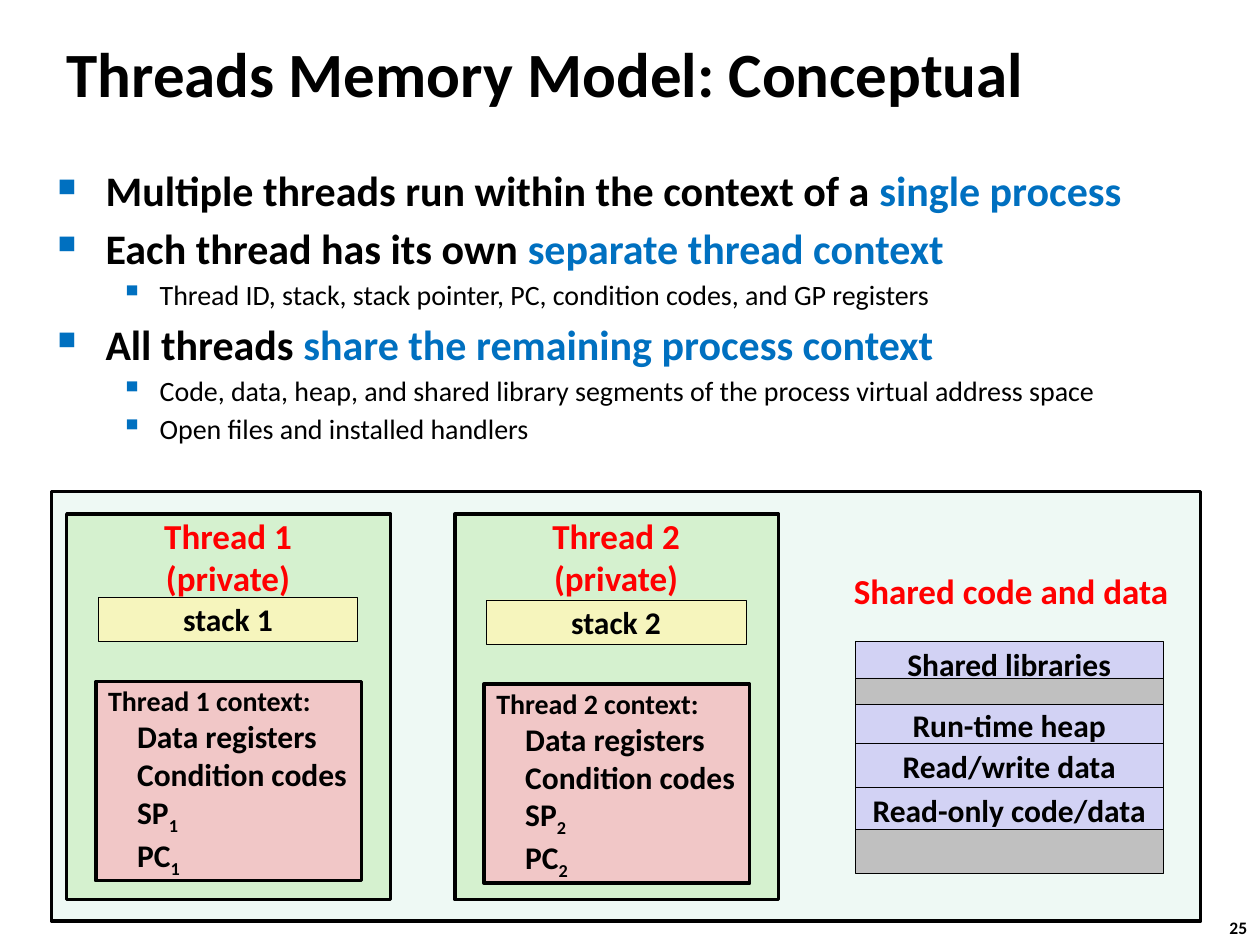
"""Build the slide on the conceptual memory model of threads."""
import dataclasses

import lxml.etree
import pptx
import pptx.dml.color
import pptx.enum.shapes
import pptx.enum.text
import pptx.oxml.ns
import pptx.util

Inches = pptx.util.Inches
Pt = pptx.util.Pt
ALIGN = pptx.enum.text.PP_ALIGN
ANCHOR = pptx.enum.text.MSO_ANCHOR


@dataclasses.dataclass(frozen=True)
class Theme:
    font: str = "Calibri"
    ink: str = "000000"
    accent: str = "0070C0"
    heading: str = "FF0000"
    process: str = "EEF9F4"
    thread: str = "D5F1CF"
    stack: str = "F6F5BD"
    context: str = "F1C7C7"
    shared: str = "D2D2F4"
    gap: str = "C0C0C0"
    title_size: int = 36
    point_size: int = 24
    label_size: int = 20
    box_size: int = 18
    detail_size: int = 16
    number_size: int = 10
    thick: float = 2
    thin: float = 0.25


class SlideBuilder:
    def __init__(self, slide, theme):
        self.slide = slide
        self.theme = theme

    def color(self, name):
        return pptx.dml.color.RGBColor.from_string(getattr(self.theme, name))

    def frame(self, sp, align=ALIGN.LEFT, anchor=ANCHOR.MIDDLE):
        tf = sp.text_frame
        tf.word_wrap = True
        tf.vertical_anchor = anchor
        tf.margin_left = 0 if align == ALIGN.CENTER else Inches(0.1)
        tf.margin_right = 0
        return tf

    def paragraph(self, tf, first, align=ALIGN.LEFT, indent=0):
        p = tf.paragraphs[0] if first else tf.add_paragraph()
        p.alignment = align
        if indent:
            p._p.get_or_add_pPr().set("marL", str(Inches(indent)))
        return p

    def run(self, p, text, size, color="ink", bold=True, subscript=False):
        r = p.add_run()
        r.text = text
        r.font.name = self.theme.font
        r.font.size = Pt(size)
        r.font.bold = bold
        r.font.color.rgb = self.color(color)
        if subscript:
            r._r.get_or_add_rPr().set("baseline", "-25000")

    def bullet(self, p, char, percent, hanging):
        pPr = p._p.get_or_add_pPr()
        pPr.set("indent", str(-Inches(hanging)))
        qn = pptx.oxml.ns.qn
        clr = lxml.etree.SubElement(pPr, qn("a:buClr"))
        lxml.etree.SubElement(clr, qn("a:srgbClr"), val=self.theme.accent)
        lxml.etree.SubElement(pPr, qn("a:buSzPct"), val=str(percent * 1000))
        lxml.etree.SubElement(pPr, qn("a:buChar"), char=char)

    def text(self, box, lines, size, color="ink", align=ALIGN.LEFT):
        sp = self.slide.shapes.add_textbox(*map(Inches, box))
        tf = self.frame(sp, align)
        for i, line in enumerate(lines):
            self.run(self.paragraph(tf, i == 0, align), line, size, color)

    def box(self, box, fill, width, label=""):
        rect = pptx.enum.shapes.MSO_SHAPE.RECTANGLE
        sp = self.slide.shapes.add_shape(rect, *map(Inches, box))
        sp.shadow.inherit = False
        sp.fill.solid()
        sp.fill.fore_color.rgb = self.color(fill)
        sp.line.color.rgb = self.color("ink")
        sp.line.width = Pt(width)
        if label:
            p = self.paragraph(self.frame(sp, ALIGN.CENTER), True, ALIGN.CENTER)
            self.run(p, label, self.theme.box_size)
        return sp

    def points(self, box, items):
        sp = self.slide.shapes.add_textbox(*map(Inches, box))
        tf = self.frame(sp, anchor=ANCHOR.TOP)
        for i, (level, plain, accent) in enumerate(items):
            p = self.paragraph(tf, i == 0, indent=(0.38, 0.81)[level])
            size = (self.theme.point_size, self.theme.detail_size)[level]
            if i:
                p.space_before = Pt(0.17 * size)
            if level:
                self.bullet(p, "▪", 110, 0.31)
            else:
                self.bullet(p, "■", 60, 0.38)
            self.run(p, plain, size, bold=not level)
            if accent:
                self.run(p, accent, size, "accent")

    def context(self, box, number):
        tf = self.frame(self.box(box, "context", self.theme.thick))
        p = self.paragraph(tf, True)
        self.run(p, f"Thread {number} context:", self.theme.detail_size)
        for name in ("Data registers", "Condition codes", "SP", "PC"):
            p = self.paragraph(tf, False, indent=0.23)
            self.run(p, name, self.theme.box_size)
            if name in ("SP", "PC"):
                self.run(p, str(number), self.theme.box_size, subscript=True)

    def thread(self, number, left, drop):
        t = self.theme
        self.box((left, 4.08, 2.57, 3.06), "thread", t.thick)
        self.context((left + 0.23, 5.41 + drop, 2.11, 1.58), number)
        self.box((left + 0.25, 4.74 + drop, 2.06, 0.35), "stack", t.thin,
                 f"stack {number}")
        self.text((left + 0.67, 4.03, 1.22, 0.77),
                  (f"Thread {number}", "(private)"),
                  t.label_size, "heading", ALIGN.CENTER)


POINTS = [
    (0, "Multiple threads run within the context of a ", "single process"),
    (0, "Each thread has its own ", "separate thread context"),
    (1, "Thread ID, stack, stack pointer, PC, condition codes, and GP registers", ""),
    (0, "All threads ", "share the remaining process context"),
    (1, "Code, data, heap, and shared library segments of the process virtual address space", ""),
    (1, "Open files and installed handlers", ""),
]
SEGMENTS = [
    (5.09, 0.35, "Shared libraries"),
    (5.38, 0.28, ""),
    (5.59, 0.32, "Run-time heap"),
    (5.9, 0.35, "Read/write data"),
    (6.25, 0.35, "Read-only code/data"),
    (6.58, 0.35, ""),
]


def main():
    prs = pptx.Presentation()
    prs.slide_width, prs.slide_height = Inches(10), Inches(7.5)
    theme = Theme()
    s = SlideBuilder(prs.slides.add_slide(prs.slide_layouts[6]), theme)
    s.text((0.43, 0.16, 8.3, 0.83), ["Threads Memory Model: Conceptual"],
           theme.title_size)
    s.points((0.36, 1.26, 8.97, 2.57), POINTS)
    s.box((0.41, 3.9, 9.12, 3.41), "process", theme.thick)
    s.thread(1, 0.53, 0)
    s.thread(2, 3.61, 0.02)
    s.text((6.63, 4.47, 2.79, 0.44), ["Shared code and data"],
           theme.label_size, "heading", ALIGN.CENTER)
    for top, height, label in SEGMENTS:
        s.box((6.79, top, 2.44, height), "shared" if label else "gap",
              theme.thin, label)
    s.text((9.66, 7.23, 0.37, 0.27), ["25"], theme.number_size)
    prs.save("out.pptx")


if __name__ == "__main__":
    main()
